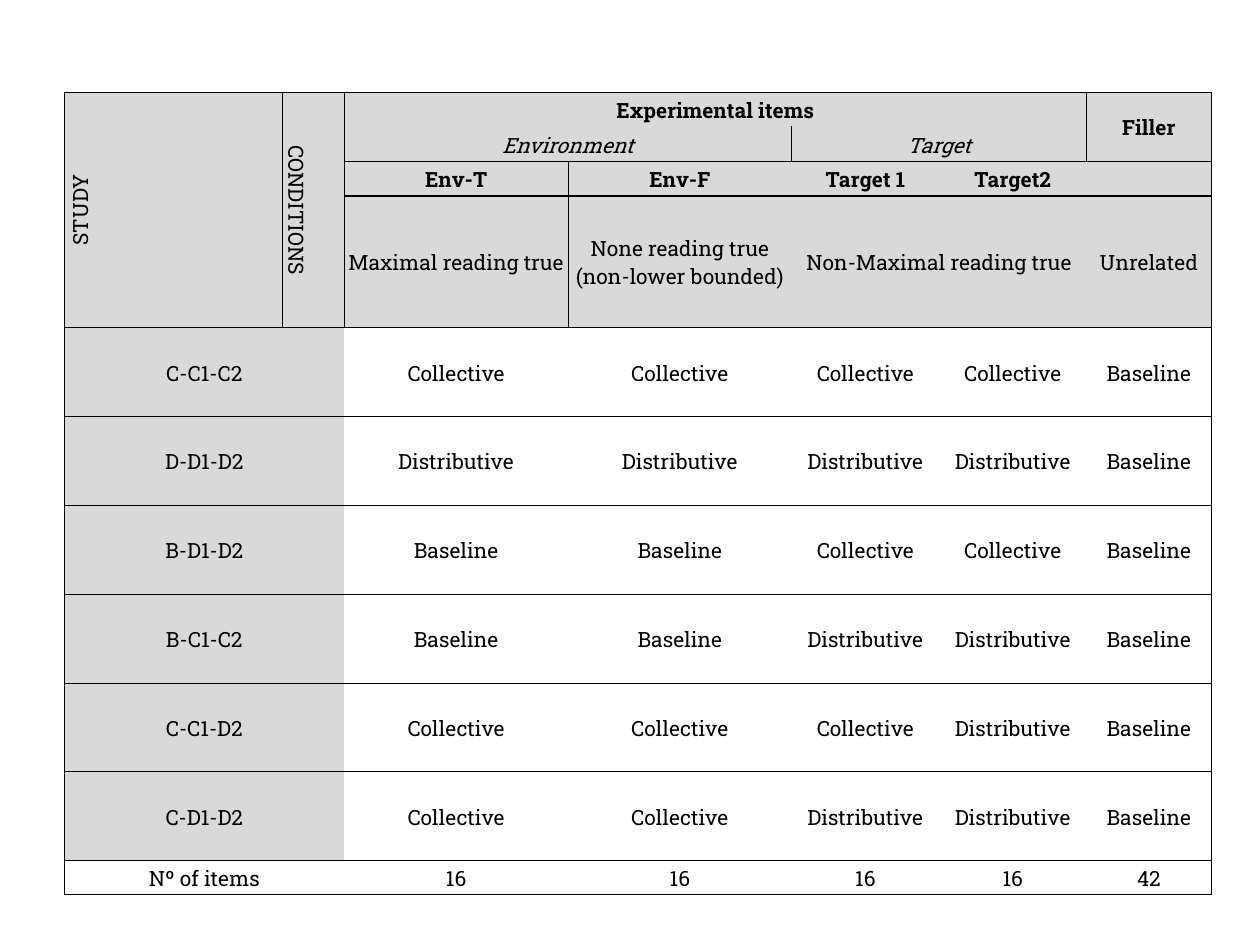
"""Build a slide with a table of study conditions by experimental item."""
from dataclasses import dataclass
from typing import Optional

from lxml.etree import SubElement
from pptx import Presentation
from pptx.dml.color import RGBColor
from pptx.enum.text import MSO_VERTICAL_ANCHOR as Anchor, PP_PARAGRAPH_ALIGNMENT as Align
from pptx.oxml.ns import qn
from pptx.table import Table, _Cell as Cell
from pptx.util import Cm, Pt

BLACK = RGBColor(0x00, 0x00, 0x00)
GREY = RGBColor(0xD9, 0xD9, 0xD9)
FONT = "Roboto Slab"
TEXT_SIZE = Pt(12)
PLAIN_STYLE = "{2D5ABB26-0587-4C30-8999-92F81FD0307C}"
THIN, MEDIUM = Pt(0.5), Pt(1)

HEADER_ROWS = 4
LABEL_COLUMNS = 2
COLUMN_WIDTHS = (4.4, 1.24, 4.51, 4.51, 2.97, 2.97, 2.52)
STUDY_HEIGHT = 1.79

C, D, B = "Collective", "Distributive", "Baseline"
STUDIES = (
    ("C-C1-C2", C, C, C, C, B),
    ("D-D1-D2", D, D, D, D, B),
    ("B-D1-D2", B, B, C, C, B),
    ("B-C1-C2", B, B, D, D, B),
    ("C-C1-D2", C, C, C, D, B),
    ("C-D1-D2", C, C, D, D, B),
)
ITEM_COUNTS = ("Nº of items", "16", "16", "16", "16", "42")
BODY = STUDIES + (ITEM_COUNTS,)
ROW_HEIGHTS = (0.69, 0.71, 0.69, 2.66) + (STUDY_HEIGHT,) * len(STUDIES) + (0.69,)
COUNT_ROW = len(ROW_HEIGHTS) - 1


@dataclass(frozen=True)
class Block:
    """A table cell with its span and text style."""
    row: int
    col: int
    text: str
    rows: int = 1
    cols: int = 1
    bold: bool = False
    italic: bool = False
    direction: Optional[str] = None

    @property
    def shaded(self) -> bool:
        return self.row < HEADER_ROWS or (self.col == 0 and self.row < COUNT_ROW)


HEADER = (
    Block(0, 0, "STUDY", rows=4, direction="vert270"),
    Block(0, 1, "CONDITIONS", rows=4, direction="vert"),
    Block(0, 2, "Experimental items", cols=4, bold=True),
    Block(0, 6, "Filler", rows=2, bold=True),
    Block(1, 2, "Environment", cols=2, italic=True),
    Block(1, 4, "Target", cols=2, italic=True),
    Block(2, 2, "Env-T", bold=True),
    Block(2, 3, "Env-F", bold=True),
    Block(2, 4, "Target 1", bold=True),
    Block(2, 5, "Target2", bold=True),
    Block(2, 6, ""),
    Block(3, 2, "Maximal reading true"),
    Block(3, 3, "None reading true (non-lower bounded)"),
    Block(3, 4, "Non-Maximal reading true", cols=2),
    Block(3, 6, "Unrelated"),
)


def body_blocks() -> list[Block]:
    """Return the cells below the header, the row label spanning two columns."""
    return [
        Block(row, 0, text, cols=LABEL_COLUMNS) if index == 0
        else Block(row, index + LABEL_COLUMNS - 1, text)
        for row, texts in enumerate(BODY, start=HEADER_ROWS)
        for index, text in enumerate(texts)
    ]


def horizontal_rule(boundary: int, col: int) -> Optional[Pt]:
    """Return the width of the line at a row boundary, if there is one."""
    if boundary == 0 or boundary >= HEADER_ROWS:
        return THIN
    return MEDIUM if boundary == 2 and col >= LABEL_COLUMNS else None


def vertical_rule(boundary: int, row: int) -> Optional[Pt]:
    """Return the width of the line at a column boundary, if there is one."""
    outer = boundary in (0, len(COLUMN_WIDTHS))
    return THIN if outer or (boundary <= LABEL_COLUMNS and row < HEADER_ROWS) else None


def draw_borders(cell: Cell, block: Block) -> None:
    """Draw the lines that run along the edges of a block."""
    edges = (
        ("a:lnL", vertical_rule(block.col, block.row)),
        ("a:lnR", vertical_rule(block.col + block.cols, block.row)),
        ("a:lnT", horizontal_rule(block.row, block.col)),
        ("a:lnB", horizontal_rule(block.row + block.rows, block.col)),
    )
    properties = cell._tc.get_or_add_tcPr()
    for tag, width in edges:
        if width is not None:
            line = SubElement(properties, qn(tag), w=str(int(width)))
            colour = SubElement(line, qn("a:solidFill"))
            SubElement(colour, qn("a:srgbClr"), val=str(BLACK))


def write_text(cell: Cell, block: Block) -> None:
    """Write the centred text of a block."""
    paragraph = cell.text_frame.paragraphs[0]
    paragraph.alignment = Align.CENTER
    if not block.text:
        SubElement(paragraph._p, qn("a:endParaRPr"), sz=str(int(TEXT_SIZE.pt * 100)))
        return
    run = paragraph.add_run()
    run.text = block.text
    font = run.font
    font.name, font.size = FONT, TEXT_SIZE
    font.bold, font.italic = block.bold, block.italic
    font.color.rgb = BLACK


def draw_block(table: Table, block: Block) -> None:
    """Merge, outline, fill and label one block of the table."""
    cell = table.cell(block.row, block.col)
    if block.rows * block.cols > 1:
        cell.merge(table.cell(block.row + block.rows - 1, block.col + block.cols - 1))
    cell.margin_left = cell.margin_right = cell.margin_top = Cm(0.03)
    cell.margin_bottom = 0
    cell.vertical_anchor = Anchor.MIDDLE
    draw_borders(cell, block)
    if block.shaded:
        cell.fill.solid()
        cell.fill.fore_color.rgb = GREY
    else:
        cell.fill.background()
    if block.direction:
        cell._tc.get_or_add_tcPr().set("vert", block.direction)
    write_text(cell, block)


def main() -> None:
    """Build and save the slide."""
    deck = Presentation()
    deck.slide_width, deck.slide_height = Cm(25.4), Cm(19.05)
    slide = deck.slides.add_slide(deck.slide_layouts[6])
    design = slide.shapes.add_table(
        len(ROW_HEIGHTS), len(COLUMN_WIDTHS), Cm(1.3), Cm(1.86),
        Cm(sum(COLUMN_WIDTHS)), Cm(sum(ROW_HEIGHTS)),
    ).table
    design.first_row = design.horz_banding = False
    design._tbl.tblPr.find(qn("a:tableStyleId")).text = PLAIN_STYLE
    for column, width in zip(design.columns, COLUMN_WIDTHS):
        column.width = Cm(width)
    for row, height in zip(design.rows, ROW_HEIGHTS):
        row.height = Cm(height)
    for block in (*HEADER, *body_blocks()):
        draw_block(design, block)
    deck.save("out.pptx")


if __name__ == "__main__":
    main()
